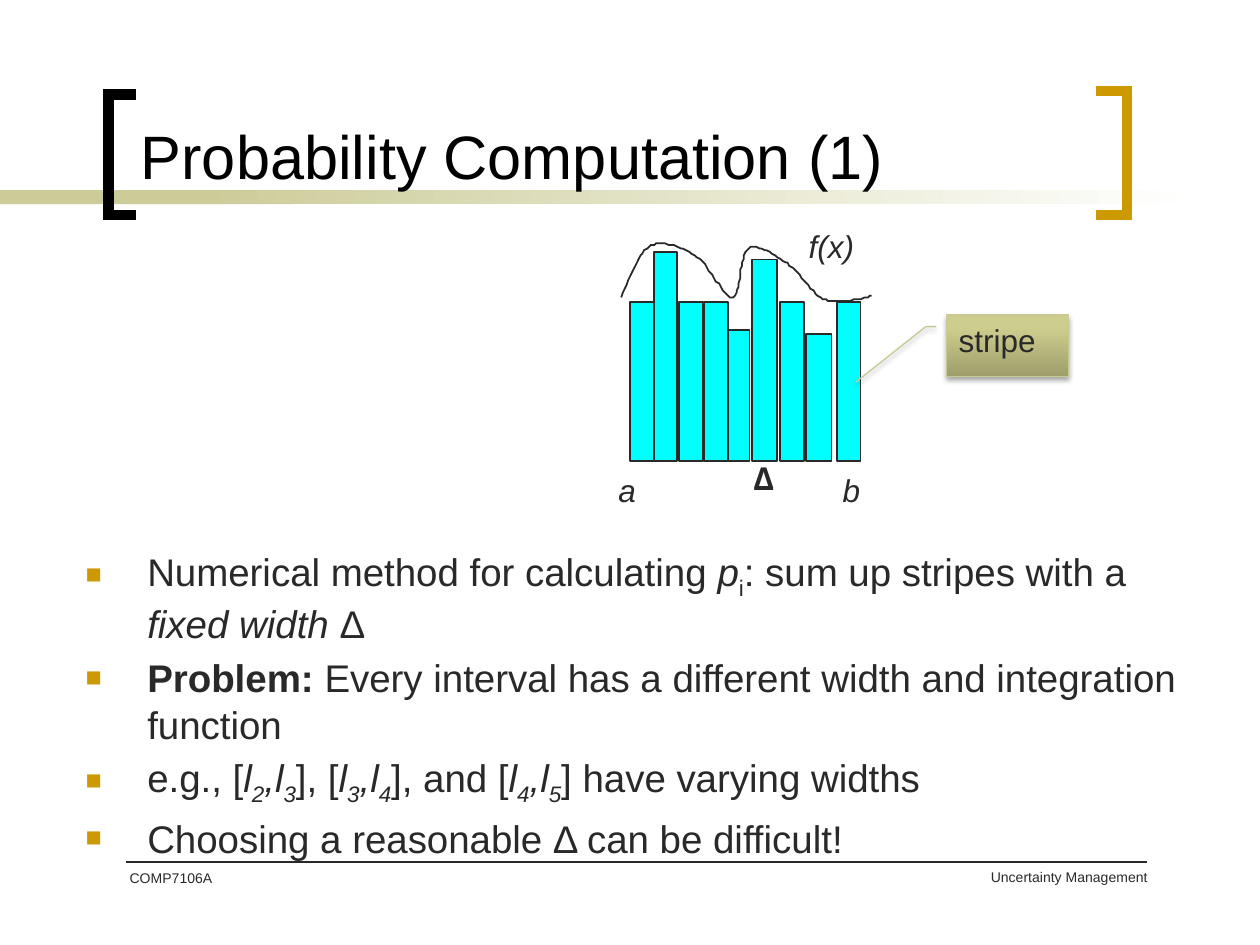
from lxml.etree import SubElement
from pptx import Presentation
from pptx.dml.color import RGBColor
from pptx.enum.shapes import MSO_CONNECTOR, MSO_SHAPE
from pptx.enum.text import MSO_ANCHOR, MSO_AUTO_SIZE, PP_ALIGN
from pptx.oxml import parse_xml
from pptx.oxml.ns import nsdecls, qn
from pptx.util import Pt

COLORS = {"ink": "292929", "black": "000000", "gold": "CC9900", "khaki": "CCCC99",
          "white": "FFFFFF", "cyan": "00FFFF", "callout_line": "C9C994"}

# Content: runs are (text, style), with b = bold, i = italic, s = subscript
TITLE = "Probability Computation (1)"
BULLETS = [
    [("Numerical method for calculating ", ""), ("p", "i"), ("i", "s"),
     (": sum up stripes with a ", ""), ("fixed width ", "i"), ("Δ", "")],
    [("Problem: ", "b"),
     ("Every interval has a different width and integration function", "")],
    [("e.g., [", ""), ("l", "i"), ("2", "is"), (",l", "i"), ("3", "is"),
     ("], [", ""), ("l", "i"), ("3", "is"), (",l", "i"), ("4", "is"),
     ("], and [", ""), ("l", "i"), ("4", "is"), (",l", "i"), ("5", "is"),
     ("] have varying widths", "")],
    [("Choosing a reasonable Δ can be difficult!", "")],
]
# Labels of the chart: text, style, font, left, top, width
LABELS = [("Δ", "b", "Noto Sans", 423.4, 258.5, 28),
          ("a", "i", "Arial", 346.3, 265.7, 28.8),
          ("b", "i", "Arial", 474.5, 265.7, 28.8),
          ("f(x)", "i", "Arial", 455, 126, 45.4)]

# Stripes: left, width, height, all standing on one base line
STRIPE_BASE = 263.5
STRIPES = [(360, 13.7, 90.7), (373.7, 13, 119.5), (388.1, 13.7, 90.7),
           (402.5, 13.7, 90.7), (416.2, 12.2, 74.9), (429.8, 14.4, 115.2),
           (445.7, 13.7, 90.7), (460.8, 14.4, 72.7), (478.1, 13.7, 90.7)]

# Curve f(x): start point, then Bezier segments (two controls and an end)
CURVE_START = (355, 169.9)
CURVE = [((360, 157), (365, 144), (372.2, 140.4)),
         ((379.4, 136.8), (391, 141.8), (398.2, 146.9)),
         ((406.1, 151.9), (413.3, 170.6), (418.3, 169.9)),
         ((423.4, 169.2), (422.6, 145.4), (427.7, 141.8)),
         ((432.7, 139), (442.8, 146.2), (450, 150.5)),
         ((457.2, 155.5), (463.7, 168.5), (471.6, 171.4)),
         ((479.5, 174.2), (498.2, 169.2), (498.2, 169.2))]
CURVE_STEPS = 16

BRACKETS = [("black", [(77.8, 122.8), (61.9, 122.8), (61.9, 53.5), (77.8, 53.5)]),
            ("gold", [(626.4, 51.8), (643.7, 51.8), (643.7, 122.8), (626.4, 122.8)])]

presentation = Presentation()
presentation.slide_width, presentation.slide_height = Pt(720), Pt(540)
slide = presentation.slides.add_slide(presentation.slide_layouts[6])
shapes = slide.shapes


def rgb(name):
    return RGBColor.from_string(COLORS[name])


def add_runs(paragraph, runs, size, color="ink", font="Arial"):
    for text, style in runs:
        run = paragraph.add_run()
        run.text = text
        formats = {"name": font, "size": Pt(size), "bold": "b" in style,
                   "italic": "i" in style}
        for attribute, value in formats.items():
            setattr(run.font, attribute, value)
        run.font.color.rgb = rgb(color)
        if "s" in style:
            run.font._element.set("baseline", "-25000")


def add_text(box, runs, size, color="ink", font="Arial", **formats):
    left, top, width, height = map(Pt, box)
    frame = shapes.add_textbox(left, top, width, height).text_frame
    for attribute, value in {"word_wrap": True, **formats}.items():
        setattr(frame, attribute, value)
    add_runs(frame.paragraphs[0], runs, size, color, font)
    return frame


def add_block(kind, box, fill=None, line=None, line_width=1):
    shape = shapes.add_shape(kind, *map(Pt, box))
    shape.shadow.inherit = False
    if fill:
        shape.fill.solid()
        shape.fill.fore_color.rgb = rgb(fill)
    if line:
        shape.line.color.rgb = rgb(line)
        shape.line.width = Pt(line_width)
    else:
        shape.line.fill.background()
    return shape


def set_gradient(shape, stops, angle):
    stop_xml = "".join(f'<a:gs pos="{position * 1000}"><a:srgbClr val="{color}"/></a:gs>'
                       for position, color in stops)
    gradient = parse_xml(f'<a:gradFill {nsdecls("a")} rotWithShape="1"><a:gsLst>{stop_xml}'
                         f'</a:gsLst><a:lin ang="{angle * 60000}" scaled="0"/></a:gradFill>')
    shape._element.spPr.find(qn("a:prstGeom")).addnext(gradient)


def add_outline(points, color, width):
    builder = shapes.build_freeform(*points[0], scale=Pt(1))
    builder.add_line_segments(points[1:], close=False)
    shape = builder.convert_to_shape()
    shape.shadow.inherit = False
    shape.fill.background()
    shape.line.color.rgb = rgb(color)
    shape.line.width = Pt(width)
    SubElement(shape.line._get_or_add_ln(), qn("a:miter"), lim="800000")


def bezier_points(start, segments):
    points = [start]
    for first, second, end in segments:
        origin = points[-1]
        for step in range(1, CURVE_STEPS + 1):
            t = step / CURVE_STEPS
            weights = ((1 - t) ** 3, 3 * t * (1 - t) ** 2, 3 * t * t * (1 - t), t ** 3)
            corners = (origin, first, second, end)
            points.append(tuple(sum(weight * corner[axis]
                                    for weight, corner in zip(weights, corners))
                                for axis in (0, 1)))
    return points


# Title band and brackets
add_block(MSO_SHAPE.RECTANGLE, (0, 108.7, 167.8, 7.9), "khaki")
band = add_block(MSO_SHAPE.RECTANGLE, (113.8, 108.7, 570.2, 7.9))
set_gradient(band, [(0, COLORS["khaki"]), (100, COLORS["white"])], 0)
for color, points in BRACKETS:
    add_outline(points, color, 6)

# Footer
footer = add_text((365, 492.5, 298.1, 36), [("Uncertainty Management", "")], 8)
footer.paragraphs[0].alignment = PP_ALIGN.RIGHT
rule = shapes.add_connector(MSO_CONNECTOR.STRAIGHT, Pt(72), Pt(492.5), Pt(655.2), Pt(492.5))
rule.line.color.rgb = rgb("ink")
rule.line.width = Pt(1)
SubElement(rule._element.spPr, qn("a:effectLst"))
add_text((67, 493.2, 84.2, 36), [("COMP7106A", "")], 8)

# Title and bullets
add_text((73.4, 1.4, 563.8, 111.6), [(TITLE, "")], 35, "black",
         vertical_anchor=MSO_ANCHOR.BOTTOM)
body = add_text((41.8, 309.6, 659.5, 162.7), [], 22)
for index, runs in enumerate(BULLETS):
    paragraph = body.add_paragraph() if index else body.paragraphs[0]
    paragraph.space_before = Pt(4.4 if index else 0)
    properties = paragraph._p.get_or_add_pPr()
    properties.set("marL", str(Pt(35.3)))
    properties.set("indent", str(-Pt(35.3)))
    bullet_color = SubElement(properties, qn("a:buClr"))
    SubElement(bullet_color, qn("a:srgbClr"), val=COLORS["gold"])
    SubElement(properties, qn("a:buSzPct"), val="70000")
    SubElement(properties, qn("a:buFont"), typeface="Arial")
    SubElement(properties, qn("a:buChar"), char="■")
    add_runs(paragraph, runs, 22)

# Stripes under the curve, with labels
for left, width, height in STRIPES:
    add_block(MSO_SHAPE.RECTANGLE, (left, STRIPE_BASE - height, width, height), "cyan", "ink")
add_outline(bezier_points(CURVE_START, CURVE), "ink", 1)
for text, style, font, left, top, width in LABELS:
    add_text((left, top, width, 28.8), [(text, style)], 18, font=font,
             word_wrap=False, auto_size=MSO_AUTO_SIZE.SHAPE_TO_FIT_TEXT)

# Callout
callout = add_block(MSO_SHAPE.LINE_CALLOUT_2, (540.7, 180, 69.8, 35.3),
                    line="callout_line", line_width=0.75)
for index, value in enumerate((0.188, -0.083, 0.188, -0.167, 1.082, -0.737)):
    callout.adjustments[index] = value
set_gradient(callout, [(0, "9E9E6C"), (80, "CDCD8D"), (100, "CFCF8C")], 270)
shadow = SubElement(callout._element.spPr.find(qn("a:effectLst")), qn("a:outerShdw"),
                    blurRad=str(Pt(3.1)), dist=str(Pt(1.8)), dir="5400000", rotWithShape="0")
shadow_color = SubElement(shadow, qn("a:srgbClr"), val=COLORS["black"])
SubElement(shadow_color, qn("a:alpha"), val="35000")
callout.text_frame.vertical_anchor = MSO_ANCHOR.TOP
callout.text_frame.paragraphs[0].alignment = PP_ALIGN.LEFT
add_runs(callout.text_frame.paragraphs[0], [("stripe", "")], 18)

presentation.save("out.pptx")
